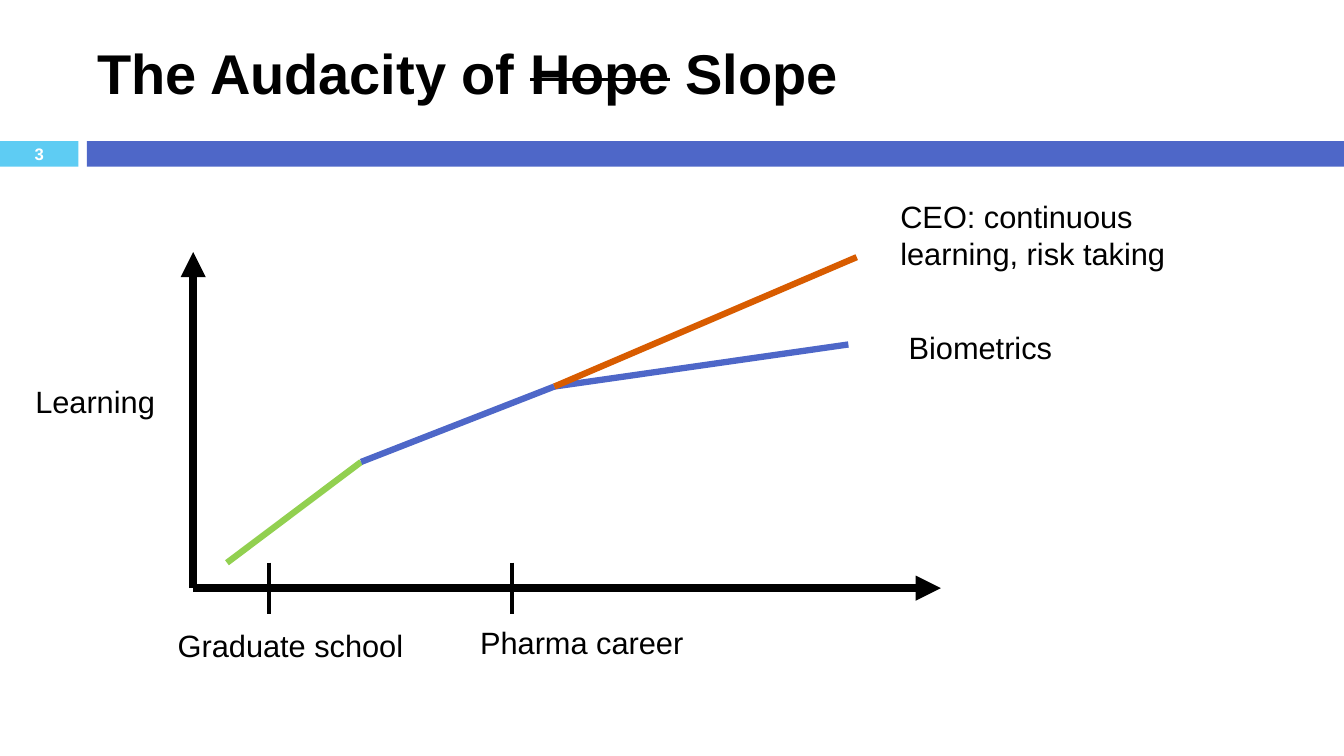
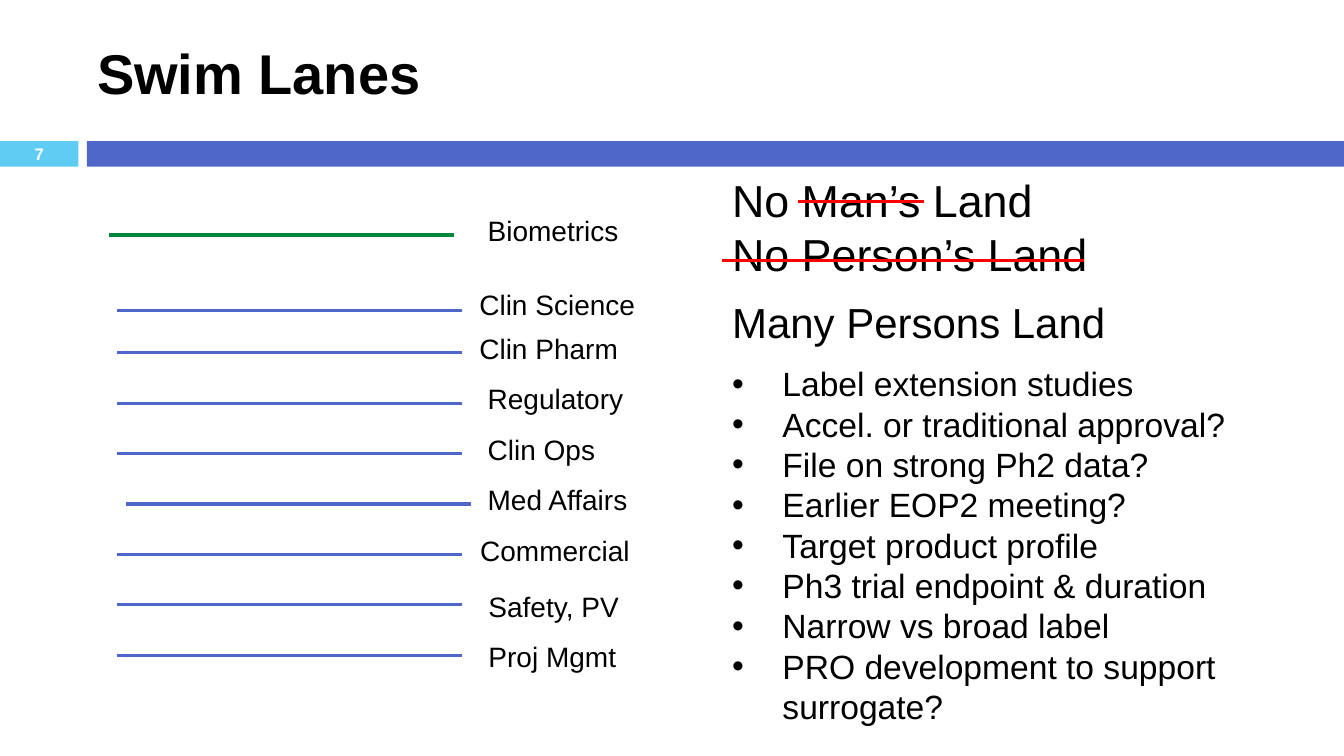
import pptx
import pptx.util
import pptx.dml.color
import pptx.enum.shapes
import pptx.enum.text
import pptx.oxml.ns
from lxml import etree

Cm = pptx.util.Cm
Pt = pptx.util.Pt
RGBColor = pptx.dml.color.RGBColor
ANCHOR = pptx.enum.text.MSO_ANCHOR
ALIGN = pptx.enum.text.PP_ALIGN
qn = pptx.oxml.ns.qn

BLACK = RGBColor(0x00, 0x00, 0x00)
WHITE = RGBColor(0xFF, 0xFF, 0xFF)
SKY = RGBColor(0x5E, 0xCC, 0xF3)
BLUE = RGBColor(0x4E, 0x67, 0xC8)
LIME = RGBColor(0x92, 0xD0, 0x50)
GREEN = RGBColor(0x00, 0x86, 0x3D)
ORANGE = RGBColor(0xD8, 0x5C, 0x00)
RED = RGBColor(0xFF, 0x00, 0x00)
FONT = "Arial"

SLIDE_WIDTH, SLIDE_HEIGHT = 33.87, 19.05
BAND_TOP, BAND_HEIGHT = 3.56, 0.64
NUMBER_WIDTH, BAND_LEFT = 1.98, 2.19

SLOPE_TITLE = [("The Audacity of ", False), ("Hope", True), (" Slope", False)]
LANES_TITLE = [("Swim Lanes", False)]

ORIGIN = (4.87, 14.82)
AXIS_ENDS = [(4.87, 6.35), (23.71, 14.82)]
TICKS = [6.77, 12.91]
TICK_REACH = 0.64

FORK = (13.97, 9.74)
CAREER_LINES = [
    ((5.72, 14.18), (9.1, 11.64), LIME),
    ((9.1, 11.64), FORK, BLUE),
    (FORK, (21.38, 8.68), BLUE),
    (FORK, (21.59, 6.48), ORANGE),
]
SLOPE_LABELS = [
    ("Graduate school", 4.23, 15.66, 7),
    ("Pharma career", 11.85, 15.59, 8.7),
    ("Learning", 0.64, 9.53, 5.1),
    ("Biometrics", 22.65, 8.15, 7),
    ("CEO: continuous learning, risk taking", 22.44, 4.87, 8.47),
]

LANE_LENGTH = 8.68
LANES = [
    ("Biometrics", GREEN, 2.75, 5.92, 12.04, 0.66),
    ("Clin Science", BLUE, 2.96, 7.83, 11.83, 0.71),
    ("Clin Pharm", BLUE, 2.96, 8.89, 11.83, 0.66),
    ("Regulatory", BLUE, 2.96, 10.16, 12.04, 0.66),
    ("Clin Ops", BLUE, 2.96, 11.43, 12.04, 0.66),
    ("Med Affairs", BLUE, 3.18, 12.7, 12.04, 0.66),
    ("Commercial", BLUE, 2.96, 13.97, 11.85, 0.66),
    ("Safety, PV", BLUE, 2.96, 15.24, 12.06, 0.51),
    ("Proj Mgmt", BLUE, 2.96, 16.51, 12.06, 0.51),
]

LAND_LINES = [
    ("No Man’s Land", 32, 0),
    ("No Person’s Land", 32, 0),
    ("Many Persons Land", 30, 11.5),
]
TOPICS = [
    "Label extension studies",
    "Accel. or traditional approval?",
    "File on strong Ph2 data?",
    "Earlier EOP2 meeting?",
    "Target product profile",
    "Ph3 trial endpoint & duration",
    "Narrow vs broad label",
    "PRO development to support surrogate?",
]
TOPIC_INDENT = 1.27
STRIKES = [((20.11, 5.08), (23.28, 5.08)), ((18.2, 6.56), (27.31, 6.56))]


def set_font(para, size, color=BLACK, bold=False):
    para.font.name = FONT
    para.font.size = Pt(size)
    para.font.color.rgb = color
    para.font.bold = bold


def add_box(page, left, top, width, height):
    box = page.shapes.add_textbox(Cm(left), Cm(top), Cm(width), Cm(height))
    box.text_frame.word_wrap = True
    return box.text_frame


def add_label(page, text, left, top, width, size):
    para = add_box(page, left, top, width, 1.2).paragraphs[0]
    para.text = text
    set_font(para, size)


def add_line(page, start, end, color, width, arrow=False):
    line = page.shapes.add_connector(
        pptx.enum.shapes.MSO_CONNECTOR.STRAIGHT,
        Cm(start[0]), Cm(start[1]), Cm(end[0]), Cm(end[1]))
    line.line.color.rgb = color
    line.line.width = Pt(width)
    if arrow:
        outline = line.line._get_or_add_ln()
        etree.SubElement(outline, qn("a:tailEnd"), type="triangle")
    etree.SubElement(line._element.spPr, qn("a:effectLst"))


def add_band(page, left, width, color):
    band = page.shapes.add_shape(
        pptx.enum.shapes.MSO_SHAPE.RECTANGLE,
        Cm(left), Cm(BAND_TOP), Cm(width), Cm(BAND_HEIGHT))
    band.shadow.inherit = False
    band.fill.solid()
    band.fill.fore_color.rgb = color
    band.line.fill.background()
    return band


def add_page(deck, title, number):
    page = deck.slides.add_slide(deck.slide_layouts[6])
    frame = add_box(page, 2.2, 0.64, 30.28, 2.33)
    frame.vertical_anchor = ANCHOR.MIDDLE
    para = frame.paragraphs[0]
    set_font(para, 40, bold=True)
    for text, struck in title:
        span = para.add_run()
        span.text = text
        if struck:
            span.font._element.set("strike", "sngStrike")

    frame = add_band(page, 0, NUMBER_WIDTH, SKY).text_frame
    frame.margin_top = frame.margin_bottom = 0
    frame.vertical_anchor = ANCHOR.MIDDLE
    para = frame.paragraphs[0]
    para.text = str(number)
    para.alignment = ALIGN.CENTER
    set_font(para, 11.9, WHITE, bold=True)
    add_band(page, BAND_LEFT, SLIDE_WIDTH - BAND_LEFT, BLUE)
    return page


def add_bullet(para):
    properties = para._element.get_or_add_pPr()
    properties.set("marL", str(Cm(TOPIC_INDENT)))
    properties.set("indent", str(-Cm(TOPIC_INDENT)))
    etree.SubElement(properties, qn("a:buFont"), typeface=FONT)
    etree.SubElement(properties, qn("a:buChar"), char="•")


def build_slope(deck):
    page = add_page(deck, SLOPE_TITLE, 3)
    for end in AXIS_ENDS:
        add_line(page, ORIGIN, end, BLACK, 6, arrow=True)
    for x in TICKS:
        add_line(page, (x, ORIGIN[1] - TICK_REACH), (x, ORIGIN[1] + TICK_REACH), BLACK, 3)
    for start, end, color in CAREER_LINES:
        add_line(page, start, end, color, 4.5)
    for text, left, top, width in SLOPE_LABELS:
        add_label(page, text, left, top, width, 22)


def build_lanes(deck):
    page = add_page(deck, LANES_TITLE, 7)
    for text, color, left, y, label_left, rise in LANES:
        add_line(page, (left, y), (left + LANE_LENGTH, y), color, 2.25)
        add_label(page, text, label_left, y - rise, 5.5, 20)

    frame = add_box(page, 18.2, 4.24, 14.61, 14.35)
    lines = LAND_LINES + [(topic, 24, 0 if place else 11.5)
                          for place, topic in enumerate(TOPICS)]
    for place, (text, size, gap) in enumerate(lines):
        para = frame.add_paragraph() if place else frame.paragraphs[0]
        para.text = text
        para.space_before = Pt(gap)
        if place >= len(LAND_LINES):
            add_bullet(para)
        set_font(para, size)
    for start, end in STRIKES:
        add_line(page, start, end, RED, 2.25)


def main():
    deck = pptx.Presentation()
    deck.slide_width = Cm(SLIDE_WIDTH)
    deck.slide_height = Cm(SLIDE_HEIGHT)
    build_slope(deck)
    build_lanes(deck)
    deck.save("out.pptx")


if __name__ == "__main__":
    main()
